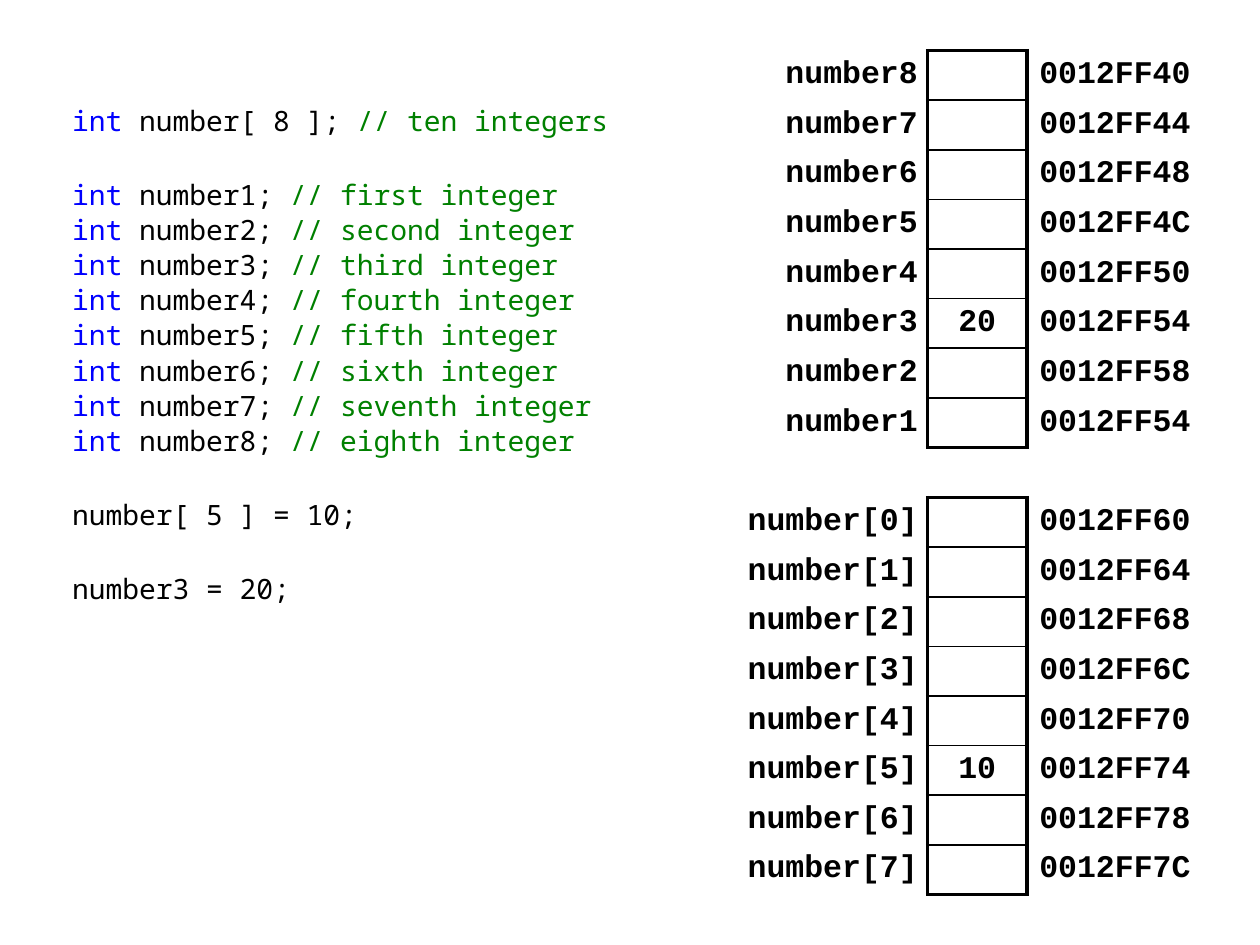
"""Build a slide comparing eight int variables with an int array in memory."""
from dataclasses import dataclass

from lxml import etree
from pptx import Presentation
from pptx import util as u
from pptx.dml.color import RGBColor
from pptx.enum import text as t
from pptx.oxml import ns


@dataclass(frozen=True)
class Theme:
    """Colours, fonts and sizes of the slide."""
    ink: str = "000000"
    keyword: str = "0000FF"
    comment: str = "008000"
    code_font: str = "Noto Sans Mono"
    memory_font: str = "Courier New"
    code_size: int = 16
    memory_size: int = 18
    frame: float = 2.25
    rule: float = 1
    line_gap: float = 2.8
    blank_line: float = 22.4


THEME = Theme()
ORDINALS = ("first", "second", "third", "fourth", "fifth", "sixth", "seventh", "eighth")
VARIABLES = list(zip(
    [f"number{n}" for n in range(8, 0, -1)],
    ["", "", "", "", "", "20", "", ""],
    ["0012FF40", "0012FF44", "0012FF48", "0012FF4C",
     "0012FF50", "0012FF54", "0012FF58", "0012FF54"]))
ELEMENTS = list(zip(
    [f"number[{n}]" for n in range(8)],
    ["", "", "", "", "", "10", "", ""],
    [f"0012FF{n:02X}" for n in range(0x60, 0x80, 4)]))


def write(paragraph, wording, *, font, size, color=THEME.ink, bold=False):
    """Add a formatted run to a paragraph."""
    run = paragraph.add_run()
    run.text = wording
    run.font.name = font
    run.font.size = u.Pt(size)
    run.font.bold = bold
    run.font.color.rgb = RGBColor.from_string(color)


def code_groups():
    """Return the groups of statements as (keyword, statement, comment)."""
    declarations = [("int", f" number{n}; ", f"// {ordinal} integer")
                    for n, ordinal in enumerate(ORDINALS, 1)]
    return [[("int", " number[ 8 ]; ", "// ten integers")], declarations,
            [("", "number[ 5 ] = 10;", "")], [("", "number3 = 20;", "")]]


def add_code(listing):
    """Fill the body placeholder with the coloured program listing."""
    listing.left, listing.top = u.Cm(1.2), u.Cm(2.03)
    listing.width, listing.height = u.Cm(11.5), u.Cm(11.5)
    frame = listing.text_frame
    frame.word_wrap = True
    frame.auto_size = t.MSO_AUTO_SIZE.NONE
    frame.vertical_anchor = t.MSO_ANCHOR.TOP
    for group_no, group in enumerate(code_groups()):
        for line_no, parts in enumerate(group):
            first = group_no == line_no == 0
            line = frame.paragraphs[0] if first else frame.add_paragraph()
            properties = line._p.get_or_add_pPr()
            properties.set("marL", "0")
            properties.set("indent", "0")
            etree.SubElement(properties, ns.qn("a:buNone"))
            gap = THEME.line_gap + (0 if line_no else THEME.blank_line)
            line.space_before = u.Pt(0 if first else gap)
            line.line_spacing = 0.9
            for part, color in zip(parts, (THEME.keyword, THEME.ink, THEME.comment)):
                if part:
                    write(line, part, font=THEME.code_font, size=THEME.code_size,
                          color=color)


def set_borders(cell, **widths):
    """Draw the given sides of a cell and hide the other ones."""
    properties = cell._tc.get_or_add_tcPr()
    for side in "LRTB":
        width = widths.get(side, 0)
        border = etree.SubElement(properties, ns.qn(f"a:ln{side}"), w=str(u.Pt(width)))
        if width:
            fill = etree.SubElement(border, ns.qn("a:solidFill"))
            etree.SubElement(fill, ns.qn("a:srgbClr"), val=THEME.ink)
        else:
            etree.SubElement(border, ns.qn("a:noFill"))


def fill_cell(cell, wording, align, right_inset, **borders):
    """Format a memory cell and write its text."""
    set_borders(cell, **borders)
    cell.fill.background()
    cell.vertical_anchor = t.MSO_ANCHOR.MIDDLE
    cell.margin_left, cell.margin_right = u.Cm(0.25), u.Cm(right_inset)
    cell.margin_top = cell.margin_bottom = u.Cm(0.1)
    paragraph = cell.text_frame.paragraphs[0]
    paragraph.alignment = align
    if wording:
        write(paragraph, wording, font=THEME.memory_font, size=THEME.memory_size,
              bold=True)


def add_memory(slide, rows, top, label_width):
    """Add a memory map whose value column starts at a fixed position."""
    widths = (label_width, 2, 3.5)
    memory = slide.shapes.add_table(
        len(rows), 3, u.Cm(18.7 - label_width), u.Cm(top),
        u.Cm(sum(widths)), u.Cm(len(rows))).table
    memory.first_row = memory.horz_banding = False
    for column, width in zip(memory.columns, widths):
        column.width = u.Cm(width)
    last = len(rows) - 1
    for n, (label, value, address) in enumerate(rows):
        fill_cell(memory.cell(n, 0), label, t.PP_ALIGN.RIGHT, 0.2, R=THEME.frame)
        fill_cell(memory.cell(n, 1), value, t.PP_ALIGN.CENTER, 0.25,
                  L=THEME.frame, R=THEME.frame,
                  T=THEME.rule if n else THEME.frame,
                  B=THEME.rule if n < last else THEME.frame)
        fill_cell(memory.cell(n, 2), address, t.PP_ALIGN.LEFT, 0.1, L=THEME.frame)


def main():
    """Build and save the slide."""
    deck = Presentation()
    deck.slide_width, deck.slide_height = u.Cm(25.4), u.Cm(19.05)
    slide = deck.slides.add_slide(deck.slide_layouts[1])
    title = slide.shapes.title.element
    title.getparent().remove(title)
    add_code(slide.placeholders[1])
    add_memory(slide, ELEMENTS, top=10.03, label_width=4)
    add_memory(slide, VARIABLES, top=1.02, label_width=3.5)
    deck.save("out.pptx")


if __name__ == "__main__":
    main()
